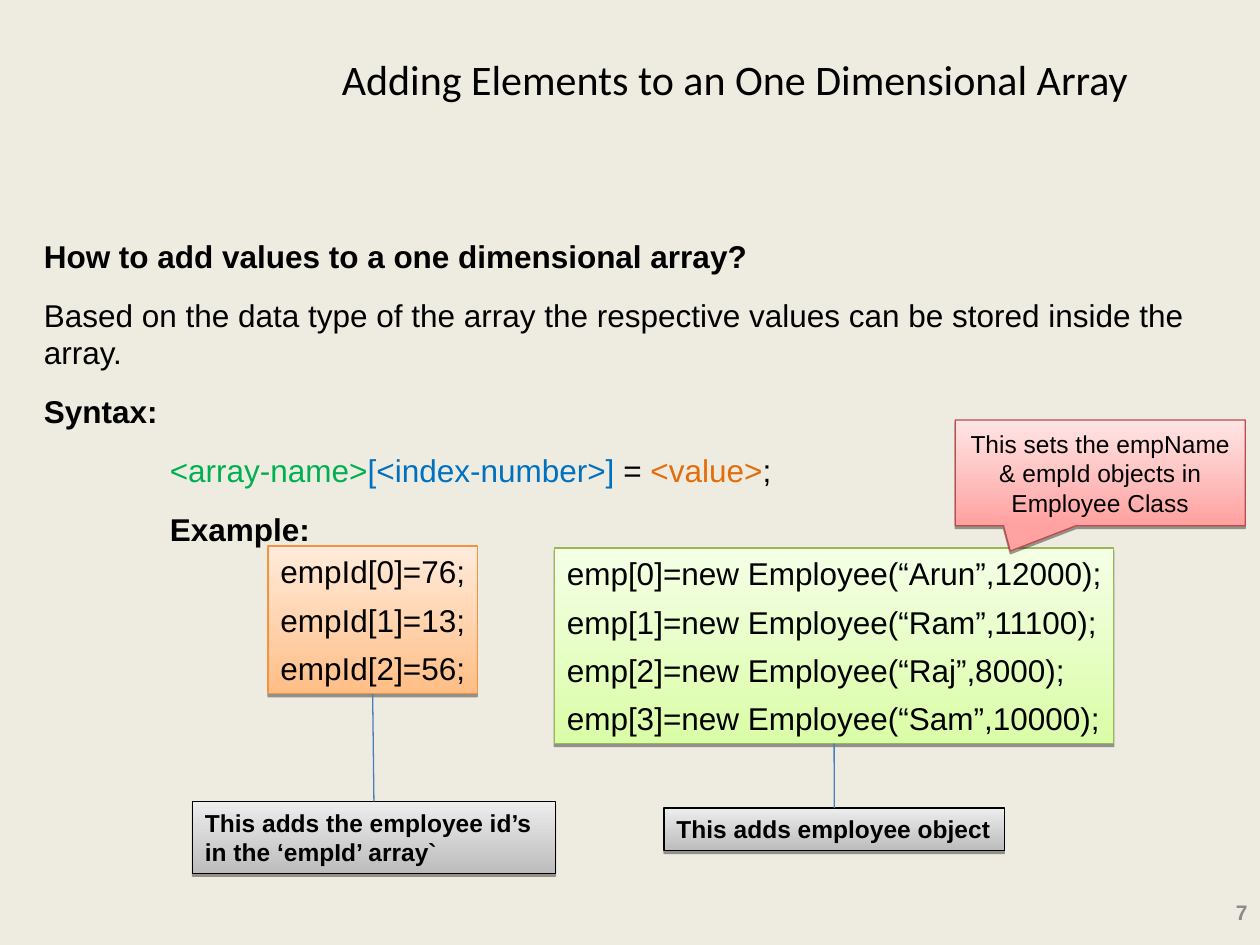
from dataclasses import dataclass

from lxml import etree
from pptx import Presentation
from pptx.dml.color import RGBColor
from pptx.enum import shapes, text
from pptx.oxml import ns
from pptx.util import Pt


@dataclass(frozen=True)
class Tint:
    dark: str
    light: str
    border: str


@dataclass(frozen=True)
class Theme:
    background: str = "EEECE1"
    ink: str = "000000"
    muted: str = "898989"
    link: str = "4A7EBB"
    name: str = "00B050"
    index: str = "0070C0"
    value: str = "E46C0A"
    orange: Tint = Tint("FFBE86", "FFEBDB", "F69240")
    green: Tint = Tint("DAFDA7", "F5FFE6", "98B954")
    grey: Tint = Tint("BCBCBC", "EDEDED", "000000")
    red: Tint = Tint("FFA2A1", "FFE5E5", "BE4B48")
    body_font: str = "Arial"
    title_font: str = "Calibri"
    title_size: float = 24
    body_size: float = 18
    note_size: float = 14
    number_size: float = 12
    hairline: float = 0.75


THEME = Theme()


@dataclass(frozen=True)
class Box:
    left: float
    top: float
    width: float
    height: float

    def lengths(self) -> tuple:
        return Pt(self.left), Pt(self.top), Pt(self.width), Pt(self.height)


@dataclass(frozen=True)
class Piece:
    words: str
    color: str = THEME.ink


@dataclass(frozen=True)
class Line:
    pieces: tuple
    bold: bool = False
    indent: float = 0


@dataclass(frozen=True)
class Panel:
    box: Box
    tint: Tint
    lines: tuple
    size: float
    before: float = 0
    wrap: bool = True
    align: text.PP_ALIGN = text.PP_ALIGN.LEFT
    anchor: text.MSO_ANCHOR = text.MSO_ANCHOR.TOP
    kind: shapes.MSO_SHAPE = shapes.MSO_SHAPE.RECTANGLE
    tip: tuple = ()


def plain(*sentences: str, bold: bool = False, color: str = THEME.ink) -> tuple:
    """One single-coloured line for each sentence."""
    return tuple(Line((Piece(words, color),), bold) for words in sentences)


def write(frame, lines: tuple, *, size: float, font: str = THEME.body_font,
          before: float = 0, wrap: bool = True,
          align: text.PP_ALIGN = text.PP_ALIGN.LEFT,
          anchor: text.MSO_ANCHOR = text.MSO_ANCHOR.TOP) -> None:
    frame.word_wrap = wrap
    frame.vertical_anchor = anchor
    for position, line in enumerate(lines):
        paragraph = frame.add_paragraph() if position else frame.paragraphs[0]
        paragraph.alignment = align
        paragraph.space_before = Pt(before)
        if line.indent:
            properties = paragraph._p.get_or_add_pPr()
            properties.set("marL", str(Pt(line.indent)))
            properties.set("indent", "0")
        for piece in line.pieces:
            run = paragraph.add_run()
            run.text = piece.words
            run.font.name = font
            run.font.size = Pt(size)
            run.font.bold = line.bold
            run.font.color.rgb = RGBColor.from_string(piece.color)


def add_drop_shadow(shape) -> None:
    shape.shadow.inherit = False
    effects = shape._element.spPr.find(ns.qn("a:effectLst"))
    shadow = etree.SubElement(effects, ns.qn("a:outerShdw"), blurRad="0",
                              dist=str(Pt(1.6)), dir="5400000", rotWithShape="0")
    color = etree.SubElement(shadow, ns.qn("a:srgbClr"), val=THEME.ink)
    etree.SubElement(color, ns.qn("a:alpha"), val="38000")


def add_panel(slide, panel: Panel):
    shape = slide.shapes.add_shape(panel.kind, *panel.box.lengths())
    for position, amount in enumerate(panel.tip):
        shape.adjustments[position] = amount
    shape.fill.gradient()
    shape.fill.gradient_angle = 90
    for stop, color in zip(shape.fill.gradient_stops, (panel.tint.dark, panel.tint.light)):
        stop.color.rgb = RGBColor.from_string(color)
    for stop, place in zip(shape.fill.gradient_stops, (0, 1)):
        stop.position = place
    shape.line.color.rgb = RGBColor.from_string(panel.tint.border)
    shape.line.width = Pt(THEME.hairline)
    add_drop_shadow(shape)
    write(shape.text_frame, panel.lines, size=panel.size, before=panel.before,
          wrap=panel.wrap, align=panel.align, anchor=panel.anchor)
    return shape


def join_below(slide, code, note) -> None:
    """Links the bottom of the code panel to the top of its note."""
    link = slide.shapes.add_connector(shapes.MSO_CONNECTOR.STRAIGHT, 0, 0, 0, 0)
    link.begin_connect(code, 2)
    link.end_connect(note, 0)
    link.line.color.rgb = RGBColor.from_string(THEME.link)
    link.line.width = Pt(THEME.hairline)
    etree.SubElement(link._element.spPr, ns.qn("a:effectLst"))


def add_text(slide, box: Box, lines: tuple, **style) -> None:
    write(slide.shapes.add_textbox(*box.lengths()).text_frame, lines, **style)


EXPLANATION = (
    *plain("How to add values to a one dimensional array?", bold=True),
    *plain("Based on the data type of the array the respective values "
           "can be stored inside the array."),
    *plain("Syntax:", bold=True),
    Line((Piece("<array-name>", THEME.name), Piece("[<index-number>] ", THEME.index),
          Piece("= "), Piece("<value>", THEME.value), Piece(";")), indent=72),
    Line((Piece("Example:"),), bold=True, indent=72),
)

IDS = Panel(
    Box(153.2, 312, 119.5, 84.5), THEME.orange,
    plain(*(f"empId[{i}]={value};" for i, value in enumerate((76, 13, 56)))),
    THEME.body_size, before=6, wrap=False)
STAFF = (("Arun", 12000), ("Ram", 11100), ("Raj", 8000), ("Sam", 10000))
EMPLOYEES = Panel(
    Box(316.8, 313.2, 319.7, 111.8), THEME.green,
    plain(*(f"emp[{i}]=new Employee(“{name}”,{pay});"
            for i, (name, pay) in enumerate(STAFF))),
    THEME.body_size, before=6, wrap=False)
IDS_NOTE = Panel(
    Box(110, 458, 207.4, 41.2), THEME.grey,
    plain("This adds the employee id’s in the ‘empId’ array`", bold=True), THEME.note_size)
EMPLOYEES_NOTE = Panel(
    Box(379.5, 461.8, 194.4, 24.3), THEME.grey,
    plain("This adds employee object", bold=True), THEME.note_size)
CALLOUT = Panel(
    Box(545.8, 240, 165.8, 60.4), THEME.red,
    plain("This sets the empName & empId objects in Employee Class"), THEME.note_size,
    align=text.PP_ALIGN.CENTER, anchor=text.MSO_ANCHOR.MIDDLE,
    kind=shapes.MSO_SHAPE.RECTANGULAR_CALLOUT, tip=(-0.31, 0.74))


def main() -> None:
    deck = Presentation()
    deck.slide_width, deck.slide_height = Pt(720), Pt(540)
    slide = deck.slides.add_slide(deck.slide_layouts[6])
    slide.background.fill.solid()
    slide.background.fill.fore_color.rgb = RGBColor.from_string(THEME.background)

    add_text(slide, Box(114, 0, 612, 90),
             plain("Adding Elements to an One Dimensional Array"),
             size=THEME.title_size, font=THEME.title_font,
             align=text.PP_ALIGN.CENTER, anchor=text.MSO_ANCHOR.MIDDLE)
    add_text(slide, Box(684.7, 508.5, 35.3, 25), plain("7", bold=True, color=THEME.muted),
             size=THEME.number_size, align=text.PP_ALIGN.RIGHT,
             anchor=text.MSO_ANCHOR.MIDDLE)
    add_text(slide, Box(18, 131.8, 678, 219), EXPLANATION, size=THEME.body_size, before=12)

    for code, note in ((IDS, IDS_NOTE), (EMPLOYEES, EMPLOYEES_NOTE)):
        join_below(slide, add_panel(slide, code), add_panel(slide, note))
    add_panel(slide, CALLOUT)
    deck.save("out.pptx")


if __name__ == "__main__":
    main()
